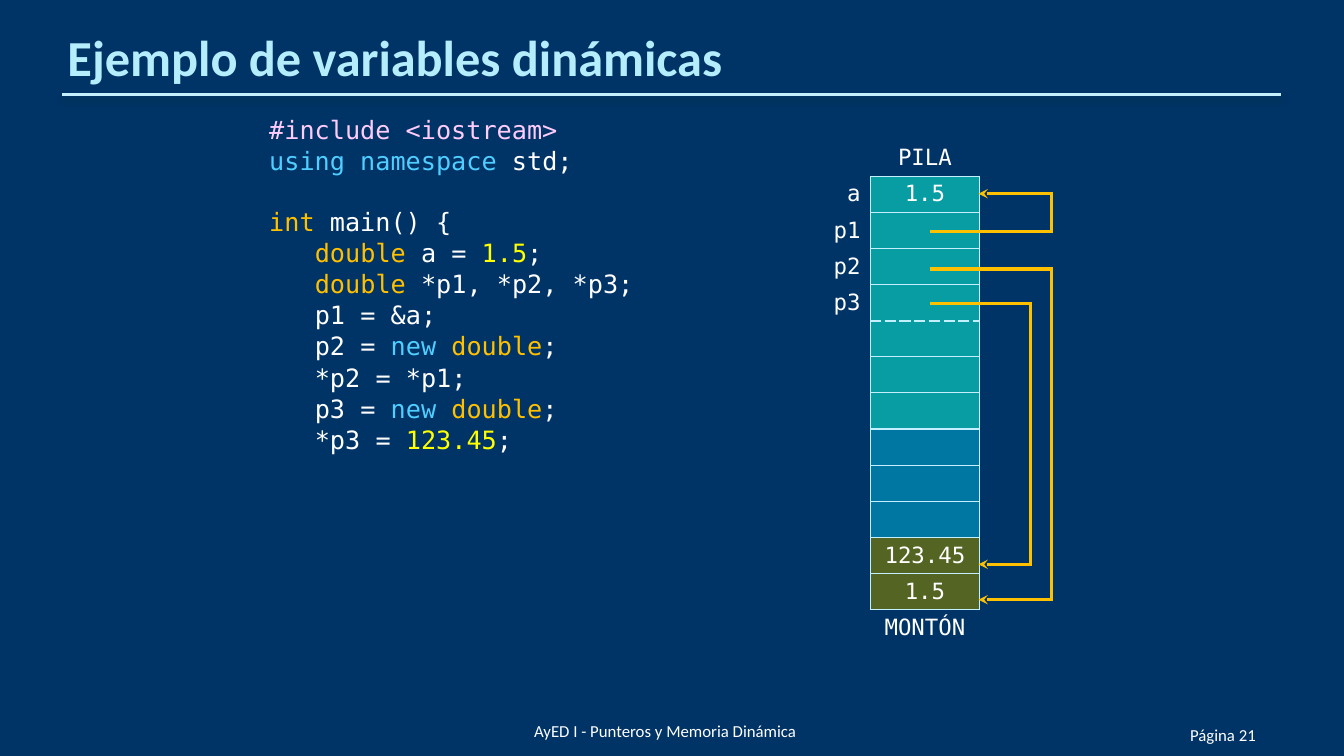
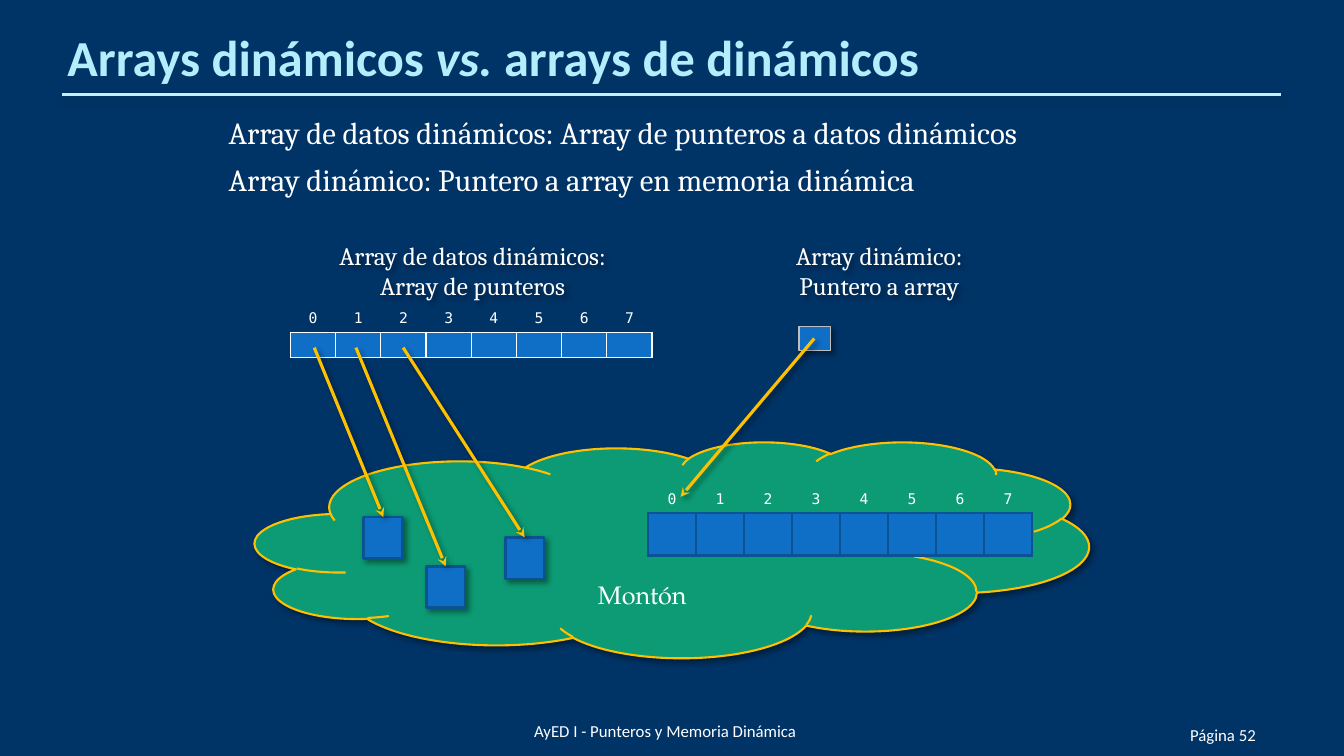
import itertools

import pptx
import pptx.dml.color
import pptx.enum.shapes
import pptx.enum.text
import pptx.oxml.ns
import pptx.util
from lxml import etree

Cm = pptx.util.Cm
Pt = pptx.util.Pt
SHAPE = pptx.enum.shapes.MSO_SHAPE
ALIGN = pptx.enum.text.PP_ALIGN
ANCHOR = pptx.enum.text.MSO_ANCHOR
FIT = pptx.enum.text.MSO_AUTO_SIZE

NAVY, WHITE, ICE, GOLD, BLUE = "003366", "FFFFFF", "C4EFFF", "FFC000", "0F6FC6"
PINK, SKY, YELLOW = "FFCCFF", "4FCEFF", "FFFF00"
TEAL, PETROL, OLIVE = "089CA3", "0076A3", "546422"
MONO, SERIF, SANS = "DejaVu Sans Mono", "Cambria", "Calibri"
NO_GRID = "{2D5ABB26-0587-4C30-8999-92F81FD0307C}"
DROP = ("000000", 40, 4, 3, 45)
RULE_DROP = ("00374C", 48, 4.5, 3, 90)
NO_MARGINS = {"margin_left": 0, "margin_right": 0, "margin_top": 0, "margin_bottom": 0}


def color(value):
    """Turn a hex string into a colour."""
    return pptx.dml.color.RGBColor.from_string(value)


def assign(target, values):
    """Set each named attribute of the target."""
    for attribute, value in values.items():
        setattr(target, attribute, value)


def child(parent, tag, **attributes):
    """Append a drawing element with its attributes."""
    element = etree.SubElement(parent, pptx.oxml.ns.qn("a:" + tag))
    for key, value in attributes.items():
        element.set(key, str(value))
    return element


def font(size, family, shade=WHITE, **extra):
    """Describe a text format."""
    return {"size": Pt(size), "name": family, "shade": shade, **extra}


class Deck:
    """Hold the shared style and the current slide."""

    def __init__(self):
        """Start a wide presentation with a navy master."""
        self.show = pptx.Presentation()
        assign(self.show, {"slide_width": Cm(33.87), "slide_height": Cm(19.05)})
        backdrop = self.show.slide_master.background.fill
        backdrop.solid()
        backdrop.fore_color.rgb = color(NAVY)

    def page(self, title, number):
        """Add a slide with title, rule and footers."""
        self.slide = self.show.slides.add_slide(self.show.slide_layouts[1])
        self.shapes = self.slide.shapes
        self.line((1.57, 2.39), (32.28, 2.39), ICE, shadow=RULE_DROP)
        heading = self.frame(self.shapes.title, (1.7, 0.79, 30.48, 1.4),
                             **NO_MARGINS | {"margin_top": Cm(0.13)},
                             vertical_anchor=ANCHOR.BOTTOM, auto_size=FIT.NONE)
        self.typeset(heading.paragraphs[0], title, font(36, SANS, "B5EDFD", bold=True),
                     alignment=ALIGN.LEFT)
        self.footer("Página %d" % number, (28.32, 17.75, 3.33, 1.02), ALIGN.RIGHT)
        self.footer("AyED I - Punteros y Memoria Dinámica", (13.46, 17.65, 12.17, 1.02), ALIGN.LEFT)

    def frame(self, shape, place, **values):
        """Move a shape and format its text frame."""
        assign(shape, dict(zip(("left", "top", "width", "height"), map(Cm, place))))
        assign(shape.text_frame, {"word_wrap": True, **values})
        return shape.text_frame

    def typeset(self, paragraph, pieces, base, **values):
        """Fill a paragraph with text and (text, changes) pieces."""
        assign(paragraph, values)
        for piece in [pieces] if isinstance(pieces, str) else pieces:
            text, changes = (piece, {}) if isinstance(piece, str) else piece
            if text == "\v":
                paragraph.add_line_break()
                continue
            run = paragraph.add_run()
            run.text = text
            look = {**base, **changes}
            run.font.color.rgb = color(look.pop("shade"))
            assign(run.font, look)

    def footer(self, text, place, alignment):
        """Add a small line at the foot of the slide."""
        note = self.frame(self.shapes.add_textbox(0, 0, 0, 0), place,
                          vertical_anchor=ANCHOR.BOTTOM, **NO_MARGINS)
        self.typeset(note.paragraphs[0], text, font(12, SANS), alignment=alignment)

    def body(self, rows, base):
        """Fill the body with (pieces, left indent, space after) rows."""
        content = self.frame(self.slide.placeholders[1], (5.51, 2.72, 22.86, 14.2),
                             auto_size=FIT.NONE)
        for index, (pieces, indent, after) in enumerate(rows):
            paragraph = content.add_paragraph() if index else content.paragraphs[0]
            self.typeset(paragraph, pieces, base, alignment=ALIGN.LEFT, line_spacing=1.03,
                         space_before=Pt(0), space_after=Pt(after))
            properties = paragraph._p.get_or_add_pPr()
            properties.set("marL", str(Cm(indent)))
            properties.set("indent", "0")
            child(properties, "buNone")

    def effect(self, shape, shadow=None):
        """Replace the theme effect by the given shadow or none."""
        effects = child(shape._element.spPr, "effectLst")
        if shadow:
            shade, opacity, blur, distance, angle = shadow
            outer = child(effects, "outerShdw", blurRad=Pt(blur), dist=Pt(distance),
                          dir=angle * 60000, algn="t", rotWithShape=0)
            child(child(outer, "srgbClr", val=shade), "alpha", val=opacity * 1000)

    def line(self, start, end, shade=GOLD, arrow=False, shadow=None, group=None):
        """Draw a straight line or arrow."""
        connector = (group or self).shapes.add_connector(
            pptx.enum.shapes.MSO_CONNECTOR.STRAIGHT, *map(Cm, (*start, *end)))
        connector.line.color.rgb = color(shade)
        connector.line.width = Pt(2.25)
        if arrow:
            child(connector.line._get_or_add_ln(), "tailEnd", type="stealth")
        elif group:
            connector.line._get_or_add_ln().set("cap", "sq")
        self.effect(connector, shadow)

    def route(self, points):
        """Draw a grouped chain of lines that ends in an arrow."""
        group = self.shapes.add_group_shape()
        for start, end in itertools.pairwise(points):
            self.line(start, end, arrow=end == points[-1], group=group)

    def shape(self, kind, place, fill, edge, width):
        """Draw a filled shape with a drop shadow."""
        figure = self.shapes.add_shape(kind, *map(Cm, place))
        figure.fill.solid()
        figure.fill.fore_color.rgb = color(fill)
        figure.line.color.rgb = color(edge)
        figure.line.width = Pt(width)
        self.effect(figure, DROP)
        return figure

    def caption(self, lines, place):
        """Add a centred two-line caption with a shadow."""
        box = self.shapes.add_textbox(0, 0, 0, 0)
        text = self.frame(box, place, word_wrap=False)
        self.typeset(text.paragraphs[0], [lines[0], "\v", lines[1]], font(18, SERIF),
                     alignment=ALIGN.CENTER, space_after=Pt(6))
        self.effect(box, DROP)

    def grid(self, corner, widths, heights):
        """Add a plain table."""
        table = self.shapes.add_table(len(heights), len(widths), *map(Cm, corner),
                                      Cm(sum(widths)), Cm(sum(heights))).table
        assign(table, {"first_row": False, "horz_banding": False})
        table._tbl.tblPr.find(pptx.oxml.ns.qn("a:tableStyleId")).text = NO_GRID
        for column, width in zip(table.columns, widths):
            column.width = Cm(width)
        for row, height in zip(table.rows, heights):
            row.height = Cm(height)
        return table

    def cell(self, cell, text, size, fill=None, edge=None, dashed="", alignment=ALIGN.CENTER):
        """Fill a table cell; edge is (colour, width), dashed names sides."""
        assign(cell, {"margin_top": 0, "margin_bottom": 0, "vertical_anchor": ANCHOR.MIDDLE})
        for side in "LRTB" if edge else "":
            shade, width = edge
            border = child(cell._tc.get_or_add_tcPr(), "ln" + side,
                           w=Pt(1.5 if side in dashed else width))
            child(child(border, "solidFill"), "srgbClr", val=shade)
            child(border, "prstDash", val="sysDash" if side in dashed else "solid")
        if fill:
            cell.fill.solid()
            cell.fill.fore_color.rgb = color(fill)
        else:
            cell.fill.background()
        paragraph = cell.text_frame.paragraphs[0]
        if text:
            self.typeset(paragraph, text, font(size, MONO), alignment=alignment)
        else:
            paragraph._p.get_or_add_endParaRPr().set("sz", str(int(size * 100)))

    def array(self, corner, width, heights, edge):
        """Draw eight numbered array cells."""
        table = self.grid(corner, [width] * 8, heights)
        for index in range(8):
            self.cell(table.cell(0, index), str(index), 10.5)
            self.cell(table.cell(1, index), "", 10.5, BLUE, edge)


deck = Deck()

deck.page("Ejemplo de variables dinámicas", 21)
directive, keyword, kind, number = ({"shade": s} for s in (PINK, SKY, GOLD, YELLOW))
new_double = [("new ", keyword), ("double", kind), ";"]
OUTER, INNER = 1.02, 2.17
deck.body([
    ([("#include <iostream>", directive)], OUTER, 0),
    ([("using namespace ", keyword), "std;"], OUTER, 21.6),
    ([("int", kind), " main() {"], OUTER, 0),
    ([("double", kind), " a = ", ("1.5", number), ";"], INNER, 0),
    ([("double", kind), " *p1, *p2, *p3;"], INNER, 0),
    ("p1 = &a;", INNER, 0),
    (["p2 = ", *new_double], INNER, 0),
    ("*p2 = *p1;", INNER, 0),
    (["p3 = ", *new_double], INNER, 0),
    (["*p3 = ", ("123.45", number), ";"], INNER, 0),
], font(18, MONO))

memory = [("", "PILA", None), ("a", "1.5", TEAL), ("p1", "", TEAL), ("p2", "", TEAL),
          ("p3", "", TEAL), *[("", "", TEAL)] * 3, *[("", "", PETROL)] * 3,
          ("", "123.45", OLIVE), ("", "1.5", OLIVE), ("", "MONTÓN", None)]
stack = deck.grid((20.14, 3.53), [1.8, 2.74], [0.91] * len(memory))
for row, (variable, value, fill) in enumerate(memory):
    deck.cell(stack.cell(row, 0), variable, 16, alignment=ALIGN.RIGHT)
    deck.cell(stack.cell(row, 1), value, 16, fill, (ICE, 1) if fill else None,
              {4: "B", 5: "T"}.get(row, ""))
for source, bend, target in [(7.65, 25.96, 14.22), (5.84, 26.5, 4.88), (6.78, 26.5, 15.11)]:
    deck.route([(23.47, source), (bend, source), (bend, target), (24.66, target)])

deck.page(["Arrays dinámicos ", ("vs.", {"italic": True}), " arrays de dinámicos"], 52)
deck.body([("Array de datos dinámicos: Array de punteros a datos dinámicos", 0, 6),
           ("Array dinámico: Puntero a array en memoria dinámica", 0, 6)], font(22, SERIF))
heap = deck.shape(SHAPE.CLOUD, (6.43, 11.13, 21.01, 5.44), "0C9B74", GOLD, 1.5)
heap.text_frame.vertical_anchor = ANCHOR.BOTTOM
deck.typeset(heap.text_frame.paragraphs[0], "Montón", font(18, "TeX Gyre Pagella"),
             alignment=ALIGN.CENTER)
deck.array((7.32, 7.7), 1.14, [0.67, 0.64], (WHITE, 1))
for origin, left, top in [(7.92, 9.17, 13.03), (8.97, 10.74, 14.27), (10.16, 12.73, 13.54)]:
    deck.shape(SHAPE.RECTANGLE, (left, top, 0.98, 1.05), BLUE, "0B5292", 2)
    deck.line((origin, 8.76), (left + 0.49, top), arrow=True, shadow=DROP)
deck.array((16.33, 12.22), 1.21, [0.71, 1.07], ("0B5394", 2.25))
deck.shape(SHAPE.RECTANGLE, (20.14, 8.23, 0.79, 0.61), BLUE, "BFBFBF", 1)
deck.line((20.52, 8.53), (17.15, 12.52), arrow=True, shadow=DROP)
deck.caption(["Array de datos dinámicos:", "Array de punteros"], (8.1, 5.92, 7.62, 1.8))
deck.caption(["Array dinámico:", "Puntero a array"], (19.66, 5.92, 5, 1.8))

deck.show.save("out.pptx")
